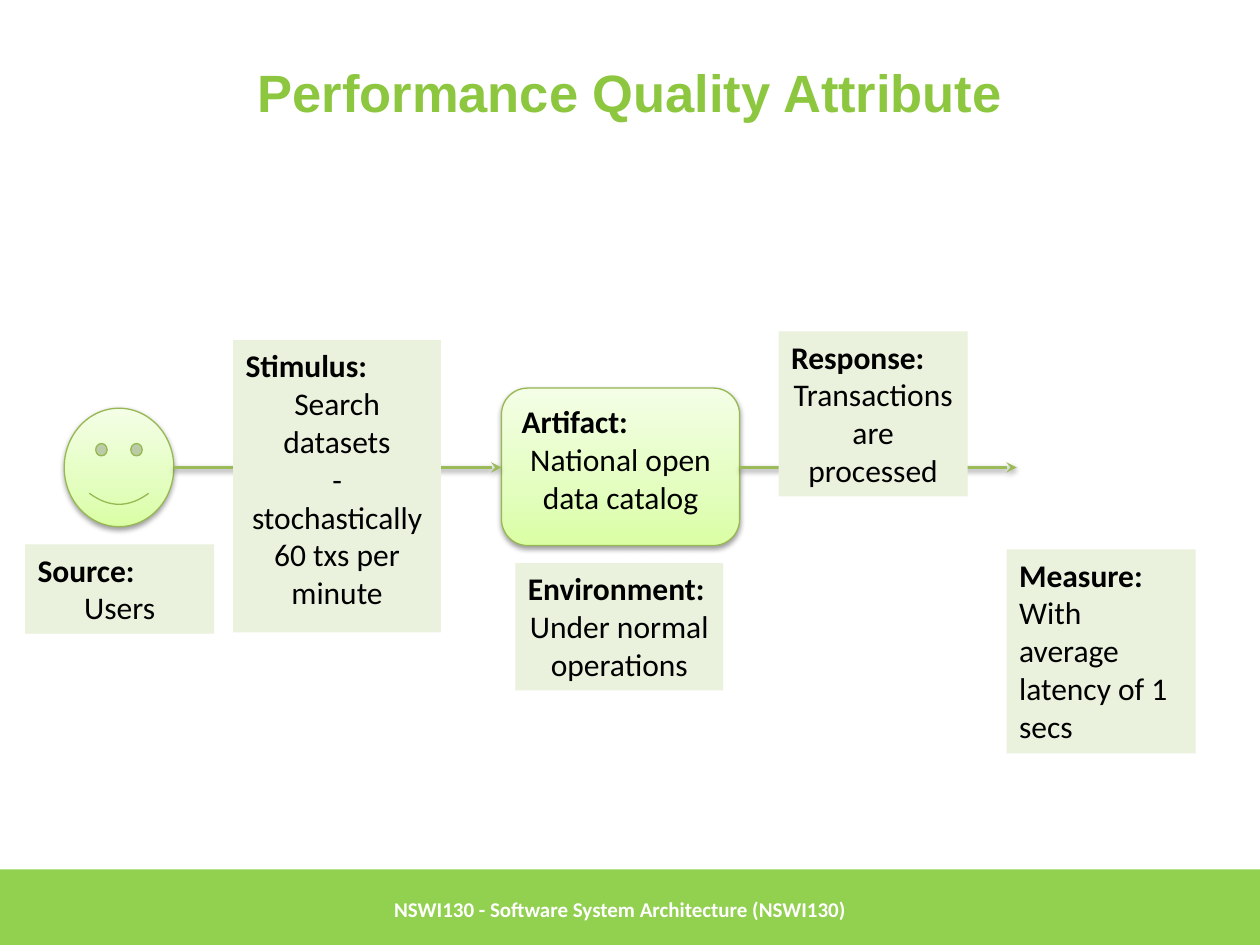
from copy import deepcopy

from lxml import etree
from pptx import Presentation
from pptx.dml.color import RGBColor
from pptx.enum.shapes import MSO_CONNECTOR, MSO_SHAPE
from pptx.enum.text import MSO_ANCHOR, MSO_AUTO_SIZE, PP_ALIGN
from pptx.oxml import parse_xml
from pptx.oxml.ns import nsdecls, qn
from pptx.util import Inches, Pt

LEFT, CENTER = PP_ALIGN.LEFT, PP_ALIGN.CENTER
TOP, MIDDLE = MSO_ANCHOR.TOP, MSO_ANCHOR.MIDDLE
GROW = MSO_AUTO_SIZE.SHAPE_TO_FIT_TEXT
RECTANGLE = MSO_SHAPE.RECTANGLE

BLACK = RGBColor(0x00, 0x00, 0x00)
WHITE = RGBColor(0xFF, 0xFF, 0xFF)
TITLE_GREEN = RGBColor(0x8D, 0xC6, 0x3F)
FOOTER_GREEN = RGBColor(0x92, 0xD0, 0x50)
LABEL_GREEN = RGBColor(0xEA, 0xF1, 0xDD)
OUTLINE_GREEN = RGBColor(0x97, 0xB8, 0x53)
ARROW_GREEN = RGBColor(0x9B, 0xBB, 0x59)
GRADIENT = [
    (0, RGBColor(0xDA, 0xFE, 0xA4)),
    (0.35, RGBColor(0xE3, 0xFE, 0xBF)),
    (1, RGBColor(0xF4, 0xFE, 0xE6)),
]
SHADOW = (
    f'<a:effectLst {nsdecls("a")}>'
    '<a:outerShdw blurRad="40000" dist="20000" dir="5400000" rotWithShape="0">'
    '<a:srgbClr val="000000"><a:alpha val="38000"/></a:srgbClr>'
    '</a:outerShdw></a:effectLst>'
)


def write(para, text, size=18, font="Calibri", color=BLACK, bold=False, align=LEFT):
    para.alignment = align
    span = para.add_run()
    span.text = text
    span.font.size = Pt(size)
    span.font.name = font
    span.font.bold = bold
    span.font.color.rgb = color


def write_part(frame, heading, lines, align):
    """Fill a text frame with a bold heading and its plain lines."""
    frame.word_wrap = True
    frame.vertical_anchor = TOP
    write(frame.paragraphs[0], heading, bold=True)
    for line in lines:
        write(frame.add_paragraph(), line, align=align)


deck = Presentation()
deck.slide_width, deck.slide_height = Inches(10), Inches(7.5)
page = deck.slides.add_slide(deck.slide_layouts[5])
shapes = page.shapes

# Title
title = shapes.title
title.left, title.top = Inches(0.5), Inches(0.3)
title.width, title.height = Inches(9), Inches(0.85)
title.text_frame.vertical_anchor = MIDDLE
write(title.text_frame.paragraphs[0], "Performance Quality Attribute", size=30,
      font="Arial", color=TITLE_GREEN, bold=True, align=CENTER)

# Footer
bar = shapes.add_shape(RECTANGLE, 0, Inches(6.9), Inches(10), Inches(0.63))
bar.shadow.inherit = False
bar.fill.solid()
bar.fill.fore_color.rgb = FOOTER_GREEN
bar.line.fill.background()
footer = shapes.add_textbox(Inches(3.03), Inches(6.9), Inches(6.02), Inches(0.63))
footer.text_frame.word_wrap = True
footer.text_frame.vertical_anchor = MIDDLE
write(footer.text_frame.paragraphs[0], "NSWI130 - Software System Architecture (NSWI130)",
      size=12, color=WHITE, bold=True)

# User and artifact
nodes = []
for preset, left, top, width, height in [
    (MSO_SHAPE.SMILEY_FACE, 0.51, 3.24, 0.87, 0.94),
    (MSO_SHAPE.ROUNDED_RECTANGLE, 3.98, 3.08, 1.89, 1.25),
]:
    node = shapes.add_shape(preset, Inches(left), Inches(top), Inches(width), Inches(height))
    node.fill.gradient()
    node.fill.gradient_angle = 90
    stop_list = node._element.spPr.find(qn("a:gradFill")).find(qn("a:gsLst"))
    stop_list.insert(1, deepcopy(stop_list[0]))
    for stop, (position, color) in zip(node.fill.gradient_stops, GRADIENT):
        stop.position = position
        stop.color.rgb = color
    node.line.color.rgb = OUTLINE_GREEN
    node.line.width = Pt(0.75)
    node._element.spPr.append(parse_xml(SHADOW))
    nodes.append(node)
user, artifact = nodes
write_part(artifact.text_frame, "Artifact:", ["National open data catalog"], CENTER)

# Arrows into and out of the artifact
arrow_y = Inches(3.71)
for start, end in [
    (user.left + user.width, artifact.left),
    (artifact.left + artifact.width, Inches(8.07)),
]:
    arrow = shapes.add_connector(MSO_CONNECTOR.STRAIGHT, start, arrow_y, end, arrow_y)
    arrow.line.color.rgb = ARROW_GREEN
    arrow.line.width = Pt(2)
    etree.SubElement(arrow.line._get_or_add_ln(), qn("a:tailEnd"), type="stealth")
    arrow._element.spPr.append(parse_xml(SHADOW))

# Labels of the scenario parts
for heading, lines, align, left, top, width, height in [
    ("Source:", ["Users"], CENTER, 0.2, 4.32, 1.5, 0.71),
    ("Stimulus:", ["Search datasets", "-", "stochastically 60 txs per minute"],
     CENTER, 1.85, 2.7, 1.65, 2.32),
    ("Environment:", ["Under normal operations"], CENTER, 4.09, 4.47, 1.65, 1.01),
    ("Response:", ["Transactions are processed"], CENTER, 6.18, 2.63, 1.5, 1.31),
    ("Measure:", ["With average latency of 1 secs"], LEFT, 7.99, 4.36, 1.5, 1.62),
]:
    label = shapes.add_shape(RECTANGLE, Inches(left), Inches(top), Inches(width), Inches(height))
    label.shadow.inherit = False
    label.fill.solid()
    label.fill.fore_color.rgb = LABEL_GREEN
    label.line.fill.background()
    label.text_frame.auto_size = GROW
    write_part(label.text_frame, heading, lines, align)

deck.save("out.pptx")
